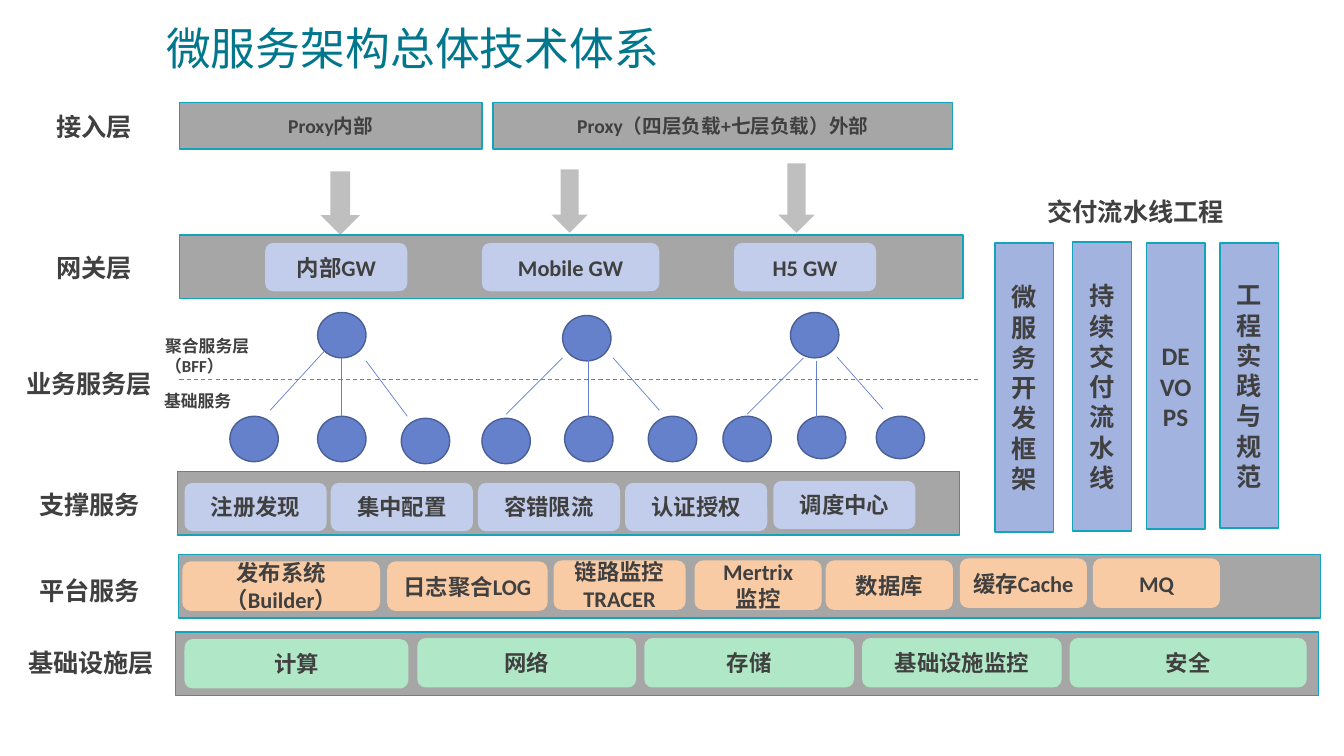
from lxml import etree
from pptx import Presentation
from pptx.dml.color import RGBColor
from pptx.enum import dml, shapes, text
from pptx.oxml import ns
from pptx.util import Inches, Pt

COLORS = {
    "title": "00778D", "text": "404040", "bar": "A6A6A6", "edge": "14A3BD",
    "arrow": "BFBFBF", "node": "6681CC", "node_edge": "4B5F97",
    "lilac": "C2CDEB", "orange": "F9CBA5", "green": "B0E8C7", "pillar": "A3B3E0",
}
CJK = "Noto Sans CJK SC"
MSO = shapes.MSO_SHAPE
CENTER = text.PP_ALIGN.CENTER
MIDDLE, TOP, BOTTOM = (text.MSO_ANCHOR.MIDDLE, text.MSO_ANCHOR.TOP,
                       text.MSO_ANCHOR.BOTTOM)


def rgb(name):
    return RGBColor.from_string(COLORS[name])


def write(sp, content, size=16, color="text", bold=True, font="Calibri",
          align=None, anchor=MIDDLE, spacing=None):
    tf = sp.text_frame
    tf.word_wrap = True
    tf.vertical_anchor = anchor
    for i, line in enumerate(content.split("\n")):
        p = tf.paragraphs[0] if i == 0 else tf.add_paragraph()
        p.alignment = align
        p.line_spacing = spacing
        r = p.add_run()
        r.text = line
        r.font.size = Pt(size)
        r.font.bold = bold
        r.font.name = font
        r.font.color.rgb = rgb(color)
        ea = etree.SubElement(r.font._element, ns.qn("a:ea"))
        ea.set("typeface", CJK)


def add_label(s, x, y, w, content, h=0.4, **fmt):
    sp = s.shapes.add_textbox(Inches(x), Inches(y), Inches(w), Inches(h))
    write(sp, content, **{"size": 18, "anchor": TOP, **fmt})


def add_block(s, kind, x, y, w, h, fill, edge=None, content="", size=16):
    sp = s.shapes.add_shape(kind, Inches(x), Inches(y), Inches(w), Inches(h))
    sp.shadow.inherit = False
    sp.fill.solid()
    sp.fill.fore_color.rgb = rgb(fill)
    if edge:
        sp.line.color.rgb = rgb(edge)
        sp.line.width = Pt(1)
    else:
        sp.line.fill.background()
    if content:
        write(sp, content, size=size, align=CENTER)


def add_bar(s, x, y, w, h=0.63, content=""):
    add_block(s, MSO.RECTANGLE, x, y, w, h, "bar", "edge", content, 14)


def add_cards(s, fill, h, cards):
    for x, y, w, content in cards:
        add_block(s, MSO.ROUNDED_RECTANGLE, x, y, w, h, fill, content=content)


def add_line(s, x1, y1, x2, y2, width=0.5, dashed=False):
    c = s.shapes.add_connector(shapes.MSO_CONNECTOR.STRAIGHT, Inches(x1),
                               Inches(y1), Inches(x2), Inches(y2))
    c.line.color.rgb = rgb("node")
    c.line.width = Pt(width)
    if dashed:
        c.line.dash_style = dml.MSO_LINE.DASH
    etree.SubElement(c._element.spPr, ns.qn("a:effectLst"))


def main():
    prs = Presentation()
    prs.slide_width, prs.slide_height = Inches(13.33), Inches(7.5)
    s = prs.slides.add_slide(prs.slide_layouts[6])

    add_label(s, 1.55, 0.16, 11.44, "微服务架构总体技术体系", h=0.63, size=32,
              color="title", bold=False, font=CJK, anchor=BOTTOM, spacing=0.85)

    # Access layer and arrows down to the gateways
    add_bar(s, 1.78, 1.02, 3, 0.46, "Proxy内部")
    add_bar(s, 4.89, 1.02, 4.56, 0.46, "Proxy（四层负载+七层负载）外部")
    for x, y, w, h in [(3.18, 1.7, 0.39, 0.63), (5.47, 1.68, 0.36, 0.63),
                       (7.72, 1.62, 0.36, 0.69)]:
        add_block(s, MSO.DOWN_ARROW, x, y, w, h, "arrow")

    # Gateway layer
    add_bar(s, 1.78, 2.33, 7.77)
    add_cards(s, "lilac", 0.48, [(2.63, 2.41, 1.41, "内部GW"),
                                 (4.78, 2.41, 1.76, "Mobile GW"),
                                 (7.28, 2.41, 1.41, "H5 GW")])

    # Business layer: aggregate nodes above, basic nodes below
    for x, y, h in [(3.15, 3.1, 0.45), (5.58, 3.13, 0.45), (7.84, 3.1, 0.45),
                    (2.28, 4.13, 0.45), (3.15, 4.13, 0.45), (3.98, 4.15, 0.45),
                    (4.78, 4.15, 0.45), (5.6, 4.13, 0.45), (6.43, 4.13, 0.45),
                    (7.17, 4.13, 0.45), (7.91, 4.13, 0.42), (8.69, 4.13, 0.42)]:
        add_block(s, MSO.FLOWCHART_CONNECTOR, x, y, 0.48, h, "node", "node_edge")
    for ends in [(3.22, 3.48, 2.68, 4.07), (3.39, 3.55, 3.39, 4.13),
                 (3.63, 3.58, 4.04, 4.13), (5.58, 3.55, 5.02, 4.11),
                 (5.84, 3.56, 5.84, 4.14), (6.08, 3.55, 6.54, 4.07),
                 (7.97, 3.55, 7.41, 4.11), (8.1, 3.58, 8.1, 4.16),
                 (8.3, 3.54, 8.76, 4.06)]:
        add_line(s, *ends)
    add_line(s, 1.78, 3.77, 9.71, 3.77, width=0.75, dashed=True)
    add_label(s, 1.54, 3.28, 1.5, "聚合服务层（BFF）", h=0.3, size=12)
    add_label(s, 1.53, 3.83, 1.5, "基础服务", h=0.3, size=12)

    # Supporting services
    add_bar(s, 1.76, 4.68, 7.76)
    add_cards(s, "lilac", 0.48, [(1.83, 4.79, 1.41, "注册发现"),
                                 (3.28, 4.79, 1.41, "集中配置"),
                                 (4.74, 4.79, 1.41, "容错限流"),
                                 (6.2, 4.79, 1.41, "认证授权"),
                                 (7.67, 4.77, 1.41, "调度中心")])

    # Platform services
    add_bar(s, 1.77, 5.5, 11.33)
    add_cards(s, "orange", 0.49, [(1.81, 5.57, 1.96, "发布系统（Builder）"),
                                  (3.84, 5.57, 1.59, "日志聚合LOG"),
                                  (5.49, 5.56, 1.31, "链路监控TRACER"),
                                  (6.89, 5.56, 1.26, "Mertrix\n监控"),
                                  (8.19, 5.56, 1.26, "数据库"),
                                  (9.52, 5.54, 1.26, "缓存Cache"),
                                  (10.84, 5.54, 1.26, "MQ")])

    # Infrastructure layer
    add_bar(s, 1.74, 6.27, 11.34)
    add_cards(s, "green", 0.49, [(1.83, 6.34, 2.22, "计算"),
                                 (4.14, 6.33, 2.17, "网络"),
                                 (6.39, 6.33, 2.08, "存储"),
                                 (8.55, 6.33, 1.98, "基础设施监控"),
                                 (10.61, 6.33, 2.35, "安全")])

    # Delivery pipeline pillars
    add_label(s, 10.29, 1.9, 2.38, "交付流水线工程")
    for x, y, h, content in [(9.87, 2.41, 2.87, "微服务开发框架"),
                             (10.64, 2.4, 2.87, "持续交付流水线"),
                             (11.37, 2.41, 2.84, "DEVOPS"),
                             (12.1, 2.41, 2.83, "工程实践与规范")]:
        add_block(s, MSO.RECTANGLE, x, y, 0.58, h, "pillar", "edge", content, 18)

    # Layer names
    for x, y, w, content in [(0.46, 1.06, 1.08, "接入层"),
                             (0.46, 2.45, 1.08, "网关层"),
                             (0.16, 3.6, 1.57, "业务服务层"),
                             (0.29, 4.81, 1.26, "支撑服务"),
                             (0.29, 5.66, 1.26, "平台服务"),
                             (0.18, 6.37, 1.57, "基础设施层")]:
        add_label(s, x, y, w, content)

    prs.save("out.pptx")


if __name__ == "__main__":
    main()
